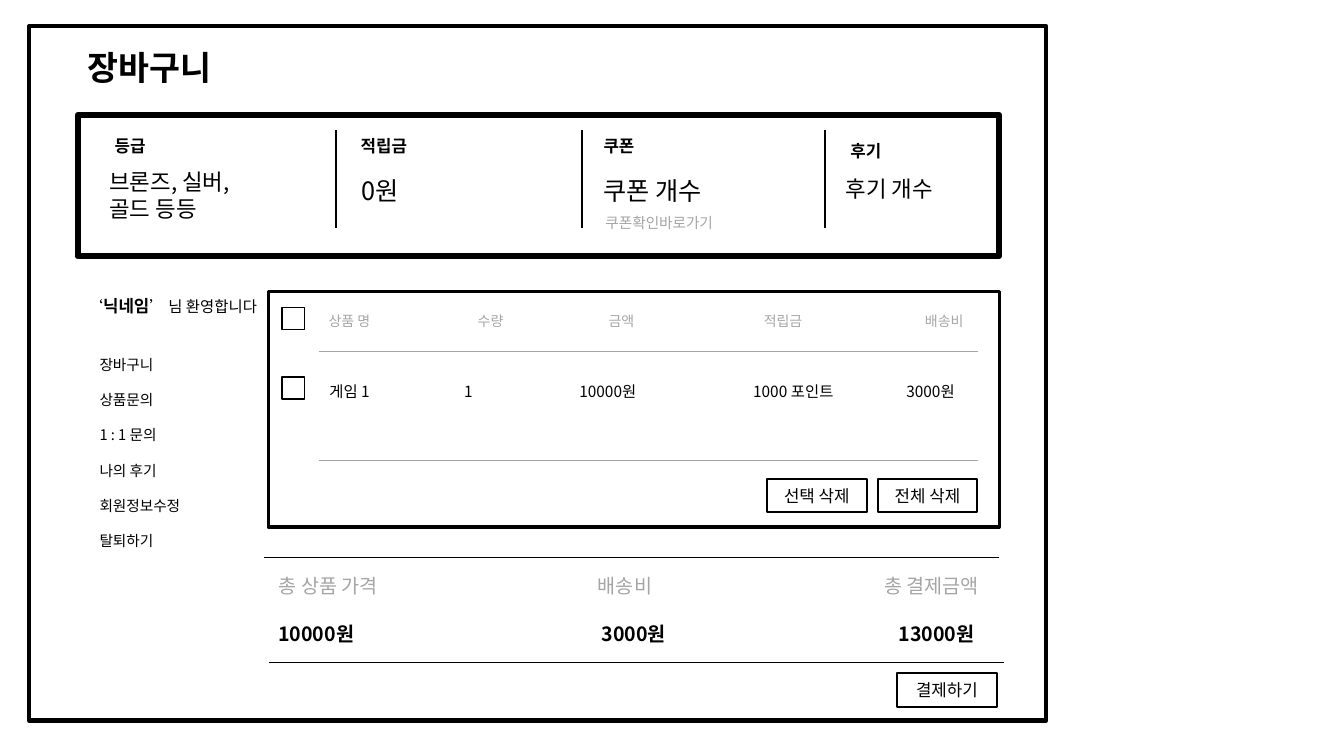
"""Build the shopping cart wireframe slide."""
from dataclasses import dataclass

import pptx
import pptx.dml.color
import pptx.enum.shapes
import pptx.enum.text
import pptx.oxml
import pptx.oxml.ns
import pptx.util

Cm, Pt = pptx.util.Cm, pptx.util.Pt
FONT = "Noto Sans CJK KR"
BLACK, GRAY, PALE = "000000", "A5A5A5", "A6A6A6"


@dataclass
class Box:
    x: float
    y: float
    w: float
    h: float
    line: float
    text: str = ""


@dataclass
class Rule:
    x1: float
    y1: float
    x2: float
    y2: float
    line: float
    color: str = BLACK


@dataclass
class Label:
    text: str
    x: float
    y: float
    w: float
    h: float
    size: float
    color: str = BLACK
    bold: bool = False
    wrap: bool = True
    gap: float = 0
    tabs: tuple[float, ...] = ()


def rgb(color: str) -> pptx.dml.color.RGBColor:
    return pptx.dml.color.RGBColor.from_string(color)


def add_xml(parent, tag: str, **attrs: str):
    el = pptx.oxml.parse_xml(f"<{tag} {pptx.oxml.ns.nsdecls('a')}/>")
    for key, value in attrs.items():
        el.set(key, value)
    parent.append(el)
    return el


def style(r, size: float, color: str = BLACK, bold: bool = False) -> None:
    r.font.size, r.font.bold, r.font.name = Pt(size), bold, FONT
    r.font.color.rgb = rgb(color)
    add_xml(r.font._element, "a:ea", typeface=FONT)


def draw_box(s, box: Box) -> None:
    sp = s.shapes.add_shape(pptx.enum.shapes.MSO_SHAPE.RECTANGLE,
                            Cm(box.x), Cm(box.y), Cm(box.w), Cm(box.h))
    sp.shadow.inherit = False
    sp.fill.background()
    sp.line.color.rgb = rgb(BLACK)
    sp.line.width = Pt(box.line)
    if box.text:
        tf = sp.text_frame
        tf.text = box.text
        tf.vertical_anchor = pptx.enum.text.MSO_ANCHOR.MIDDLE
        p = tf.paragraphs[0]
        p.alignment = pptx.enum.text.PP_ALIGN.CENTER
        style(p.runs[0], 12)


def draw_rule(s, rule: Rule) -> None:
    sp = s.shapes.add_connector(pptx.enum.shapes.MSO_CONNECTOR.STRAIGHT,
                                Cm(rule.x1), Cm(rule.y1), Cm(rule.x2), Cm(rule.y2))
    sp.line.color.rgb = rgb(rule.color)
    sp.line.width = Pt(rule.line)
    add_xml(sp._element.spPr, "a:effectLst")


def draw_label(s, label: Label):
    sp = s.shapes.add_textbox(Cm(label.x), Cm(label.y), Cm(label.w), Cm(label.h))
    tf = sp.text_frame
    tf.text = label.text
    tf.word_wrap = label.wrap
    for i, p in enumerate(tf.paragraphs):
        if i and label.gap:
            p.space_before = Pt(label.gap)
        if label.tabs:
            tab_list = add_xml(p._p.get_or_add_pPr(), "a:tabLst")
            for tab in label.tabs:
                add_xml(tab_list, "a:tab", pos=str(Cm(tab)), algn="l")
        for r in p.runs:
            style(r, label.size, label.color, label.bold)
    return tf


MENU = ("장바구니", "상품문의", "1 : 1 문의", "나의 후기", "회원정보수정", "탈퇴하기")
COLUMNS = (("상품 명", 8.03, 1.7), ("수량", 11.79, 1.22), ("금액", 15.09, 1.22),
           ("적립금", 19, 1.57), ("배송비", 23.06, 1.57))
HEADINGS = (("등급", 2.64, 3.3), ("적립금", 8.84, 3.3),
            ("쿠폰", 14.96, 3.3), ("후기", 21.18, 3.43))

BOXES = [
    Box(0.74, 0.66, 25.63, 17.5, 3),
    Box(1.96, 2.9, 23.22, 3.56, 4.5),
    Box(6.76, 7.34, 18.42, 5.94, 2.25),
    *(Box(7.11, y, 0.56, 0.56, 1) for y in (7.75, 9.5)),
    *(Box(x, y, 2.51, 0.84, 1.5, text) for text, x, y in (
        ("선택 삭제", 19.33, 12.07), ("전체 삭제", 22.12, 12.07), ("결제하기", 22.61, 16.97))),
]
RULES = [
    *(Rule(x, 3.28, x, 5.74, 1.5) for x in (8.46, 14.66, 20.8)),
    *(Rule(8.03, y, 24.64, y, 0.5, GRAY) for y in (8.86, 11.61)),
    *(Rule(x, y, x + 18.52, y, 1) for x, y in ((6.65, 14.05), (6.78, 16.69))),
]
LABELS = [
    Label("장바구니", 1.96, 1.07, 3.94, 1.27, 24, bold=True, wrap=False),
    *(Label(text, x, y, 3.58, 0.76, 12, bold=True) for text, x, y in HEADINGS),
    Label("브론즈, 실버,골드 등등", 2.51, 4.11, 3.86, 1.63, 16),
    Label("0원", 8.86, 4.29, 3.58, 1.02, 18),
    Label("쿠폰 개수", 14.96, 4.29, 3.58, 1.02, 18),
    Label("후기 개수", 21.06, 4.29, 3.58, 0.94, 16),
    Label("쿠폰확인바로가기", 15.01, 5.26, 3.58, 0.71, 10.5, GRAY),
    Label("\n".join(MENU), 2.26, 8.84, 2.77, 5.18, 10.5, wrap=False, gap=12.6),
    *(Label(text, x, 7.75, w, 0.69, 10, PALE, wrap=False) for text, x, w in COLUMNS),
    Label("게임 1\t1\t10000원\t1000 포인트\t3000원", 8.05, 9.5, 16.71, 0.74, 11,
          tabs=(3.4, 6.3, 10.68, 14.54)),
    Label("총 상품 가격\t배송비\t총 결제금액", 6.78, 14.33, 18.42, 0.86, 14, GRAY,
          tabs=(8.04, 15.25)),
    Label("10000원\t3000원\t13000원", 6.76, 15.54, 18.42, 0.86, 14, bold=True,
          tabs=(8.15, 15.64)),
]

prs = pptx.Presentation()
prs.slide_width, prs.slide_height = Cm(33.87), Cm(19.05)
s = prs.slides.add_slide(prs.slide_layouts[6])
for box in BOXES:
    draw_box(s, box)
for rule in RULES:
    draw_rule(s, rule)
for label in LABELS:
    draw_label(s, label)

greeting = draw_label(s, Label("‘", 1.96, 7.34, 4.78, 0.76, 11))
for text, size, bold in (("닉네임", 12, True), ("’ 님 환영합니다", 11, False)):
    r = greeting.paragraphs[0].add_run()
    r.text = text
    style(r, size, bold=bold)

prs.save("out.pptx")
